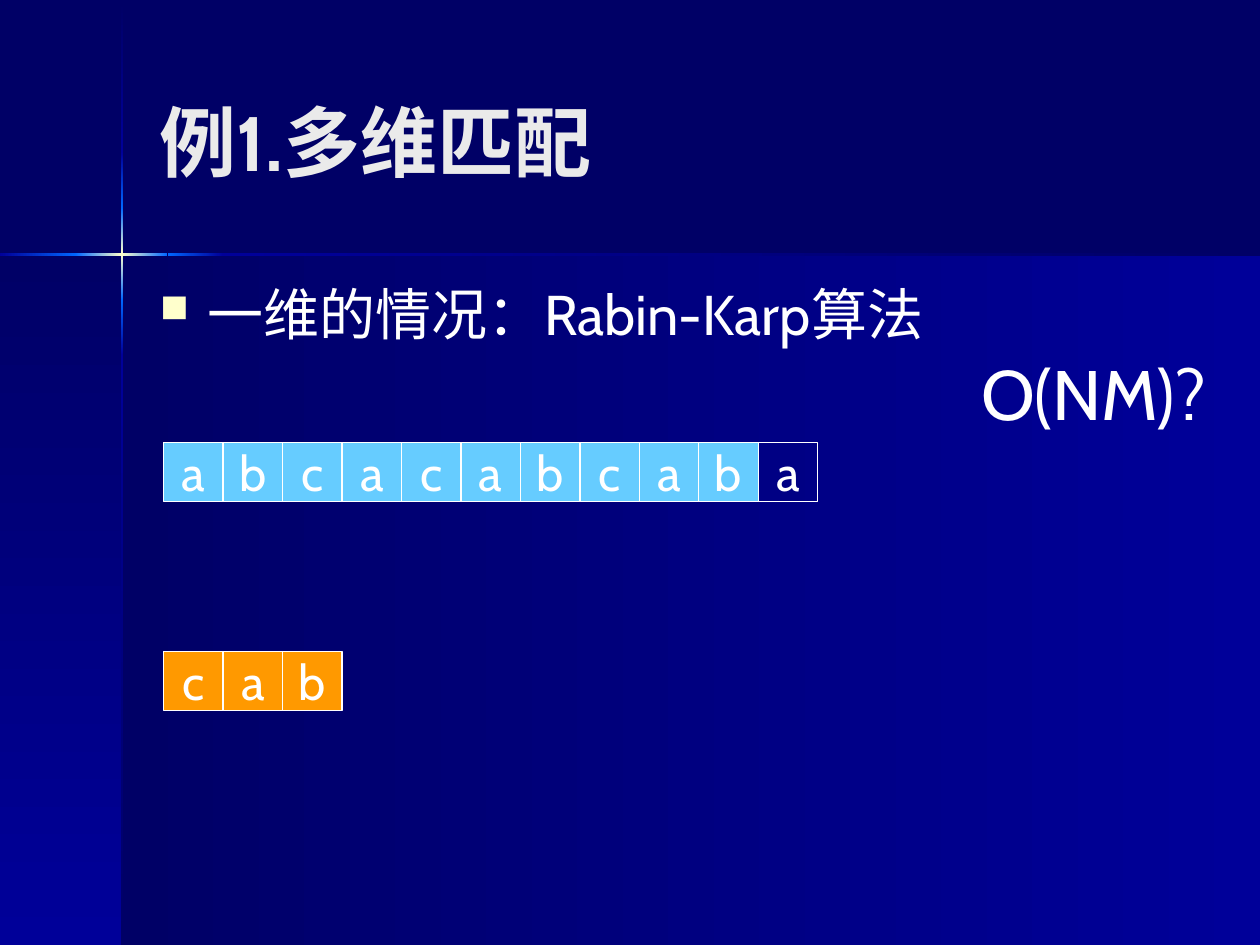
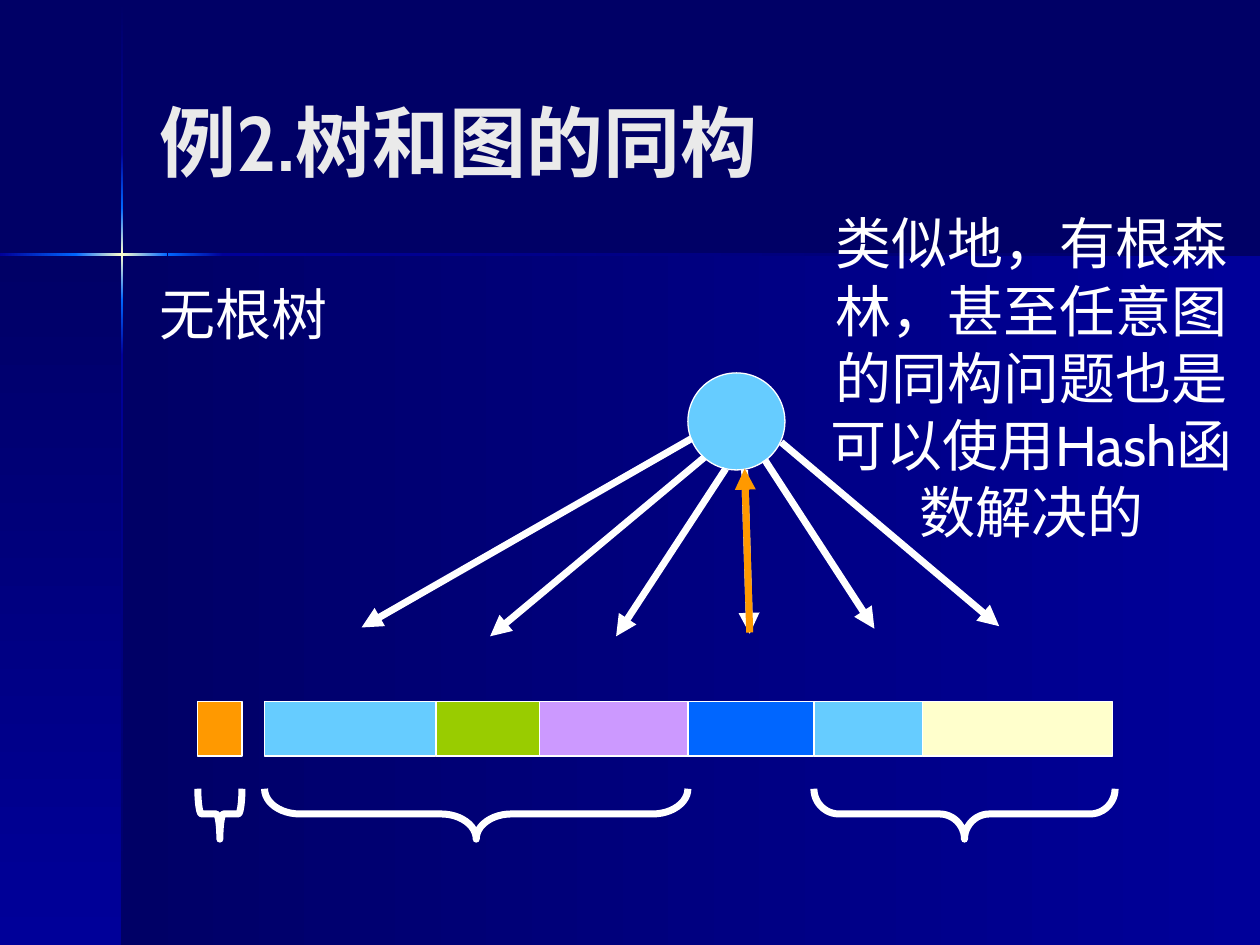
from lxml.etree import SubElement
from pptx import Presentation
from pptx.dml.color import RGBColor
from pptx.enum.lang import MSO_LANGUAGE_ID
from pptx.enum.shapes import MSO_CONNECTOR, MSO_SHAPE
from pptx.enum.text import MSO_ANCHOR, PP_ALIGN
from pptx.oxml import parse_xml
from pptx.oxml.ns import nsdecls, qn
from pptx.util import Inches, Pt

COLORS = {
    "night": "000066", "navy": "000099", "blue": "0066FF", "cream": "FFFFCC",
    "white": "FFFFFF", "title": "EAEAEA", "sky": "66CCFF", "orange": "FF9900",
    "green": "99CC00", "violet": "CC99FF",
}

# Glow bands: left, top, width, height, gradient colours, angle
GLOW = ("blue", "cream", "blue")
BANDS = [
    (0.97, 2.02, 9.03, 5.48, ("navy", "night"), 180),
    (0, 2.02, 0.97, 5.48, ("night", "navy"), 90),
    (0.96, 0.01, 0.02, 1.2, ("night", "navy"), 90),
    (0.96, 2.82, 0.02, 4.68, ("navy", "night"), 90),
    (1.77, 2.01, 8.23, 0.02, ("night", "navy"), 180),
    (0.96, 2.38, 0.02, 0.44, ("blue", "navy"), 90),
    (0.96, 1.21, 0.02, 0.44, ("navy", "blue"), 90),
    (0.96, 1.65, 0.02, 0.73, GLOW, 90),
    (0, 2.01, 0.61, 0.02, ("blue", "navy"), 180),
    (1.33, 2.01, 0.44, 0.02, ("navy", "blue"), 180),
    (0.6, 2.01, 0.73, 0.02, GLOW, 180),
]


def rgb(name):
    return RGBColor.from_string(COLORS[name])


class Deck:
    def __init__(self):
        self.prs = Presentation()
        self.prs.slide_width = Inches(10)
        self.prs.slide_height = Inches(7.5)
        self.font = {"name": "Cabin", "bold": False,
                     "language_id": MSO_LANGUAGE_ID.SIMPLIFIED_CHINESE}
        self.slide = None

    def start(self, title):
        """Add a slide with the shared background, bands and title."""
        self.slide = self.prs.slides.add_slide(self.prs.slide_layouts[6])
        fill = self.slide.background.fill
        fill.solid()
        fill.fore_color.rgb = rgb("night")
        for *place, tones, angle in BANDS:
            self.band(place, tones, angle)
        self.text(title, (1.17, 0.33, 8.25, 1.57), 44, "title",
                  anchor=MSO_ANCHOR.MIDDLE, bold=True)

    def shape(self, place, fill=None, line="white", kind=MSO_SHAPE.RECTANGLE,
              width=0.75):
        item = self.slide.shapes.add_shape(kind, *map(Inches, place))
        item.shadow.inherit = False
        if fill:
            item.fill.solid()
            item.fill.fore_color.rgb = rgb(fill)
        else:
            item.fill.background()
        if line:
            item.line.color.rgb = rgb(line)
            item.line.width = Pt(width)
        else:
            item.line.fill.background()
        return item

    def band(self, place, tones, angle):
        item = self.shape(place, line=None)
        last = len(tones) - 1
        stops = "".join(
            f'<a:gs pos="{100000 * i // last}"><a:srgbClr val="{COLORS[tone]}"/></a:gs>'
            for i, tone in enumerate(tones))
        props = item._element.spPr
        props.replace(props.find(qn("a:noFill")), parse_xml(
            f'<a:gradFill {nsdecls("a")}><a:gsLst>{stops}</a:gsLst>'
            f'<a:lin ang="{angle * 60000}" scaled="0"/></a:gradFill>'))

    def label(self, frame, words, size, color="white", align=PP_ALIGN.LEFT,
              before=0, bold=False):
        para = frame.paragraphs[0]
        para.alignment = align
        para.space_before = Pt(before)
        run = para.add_run()
        run.text = words
        style = {**self.font, "size": Pt(size), "bold": bold}
        for key, value in style.items():
            setattr(run.font, key, value)
        run.font.color.rgb = rgb(color)
        return para

    def text(self, words, place, size, color="white", anchor=MSO_ANCHOR.TOP,
             **style):
        frame = self.slide.shapes.add_textbox(*map(Inches, place)).text_frame
        frame.word_wrap = True
        frame.vertical_anchor = anchor
        return self.label(frame, words, size, color, **style)

    def bullet(self, para):
        props = para._p.get_or_add_pPr()
        props.set("marL", str(Inches(0.38)))
        props.set("indent", str(-Inches(0.38)))
        tint = SubElement(props, qn("a:buClr"))
        SubElement(tint, qn("a:srgbClr"), val=COLORS["cream"])
        SubElement(props, qn("a:buSzPct"), val="70000")
        SubElement(props, qn("a:buChar"), char="■")

    def cell(self, word, place):
        frame = self.shape(place).text_frame
        form = {"margin_left": 0, "margin_top": 0, "margin_right": 0,
                "margin_bottom": 0, "word_wrap": False,
                "vertical_anchor": MSO_ANCHOR.MIDDLE}
        for key, value in form.items():
            setattr(frame, key, value)
        self.label(frame, word, 28, align=PP_ALIGN.CENTER)

    def arrow(self, start, end, color="white", head="tailEnd"):
        item = self.slide.shapes.add_connector(
            MSO_CONNECTOR.STRAIGHT, *map(Inches, (*start, *end)))
        item.line.color.rgb = rgb(color)
        item.line.width = Pt(4)
        SubElement(item.line._get_or_add_ln(), qn(f"a:{head}"), type="triangle")
        SubElement(item._element.spPr, qn("a:effectLst"))

    def brace(self, left, right, top=6.26, depth=0.4):
        """Draw a brace that opens upward between left and right."""
        span = right - left
        place = ((left + right - depth) / 2, top + (depth - span) / 2, depth, span)
        item = self.shape(place, kind=MSO_SHAPE.LEFT_BRACE, width=4)
        item.rotation = 270
        item.adjustments[0] = span / 12 / min(span, depth)


def match(deck):
    deck.start("例1.多维匹配")
    left, top = 1.3, 3.51
    word, key = "abcacabcaba", "cab"
    side = (6.49 - left) / len(word)

    # Search windows, one for each start but the last
    for i in range(len(word) - len(key)):
        deck.shape((left + i * side, top, len(key) * side, side), "sky", None)
    deck.shape((left, 5.17, len(key) * side, side), "orange", None)

    deck.bullet(deck.text("一维的情况：Rabin-Karp算法", (1.17, 2.17, 8.25, 0.64),
                          32, before=8))

    # Letters of the text and of the pattern
    for letters, y in ((word, top), (key, 5.17)):
        for i, letter in enumerate(letters):
            deck.cell(letter, (left + i * side, y, side, side))

    deck.text("O(NM)?", (7.36, 2.73, 2.64, 0.77), 40,
              align=PP_ALIGN.CENTER, before=25)


def tree(deck):
    deck.start("例2.树和图的同构")
    deck.text("无根树", (1.17, 2.17, 8.25, 0.8), 32, before=8)

    # Root and the arrows to its children
    deck.shape((5.46, 2.96, 0.77, 0.77), "sky", kind=MSO_SHAPE.OVAL)
    for start, end in (
        ((5.49, 3.48), (2.87, 4.98)), ((5.59, 3.63), (3.89, 5.05)),
        ((5.76, 3.72), (4.89, 5.05)), ((5.91, 3.73), (5.95, 5.03)),
        ((6.07, 3.65), (6.94, 4.99)), ((6.2, 3.51), (7.93, 4.97)),
    ):
        deck.arrow(start, end)

    # Hash values in a row
    deck.shape((1.57, 5.57, 0.35, 0.43), "orange")
    edges = (2.1, 3.46, 4.28, 5.46, 6.46, 7.32, 8.83)
    fills = ("sky", "green", "violet", "blue", "sky", "cream")
    for left, right, fill in zip(edges, edges[1:], fills):
        deck.shape((left, 5.57, right - left, 0.43), fill)
    for left, right in ((2.1, 5.46), (6.46, 8.85), (1.57, 1.92)):
        deck.brace(left, right)

    # Way back to the root
    deck.arrow((5.91, 3.72), (5.95, 5.02), "orange", "headEnd")
    deck.text("类似地，有根森林，甚至任意图的同构问题也是可以使用Hash函数解决的",
              (6.46, 1.61, 3.46, 2.77), 32, align=PP_ALIGN.CENTER, before=20)


def main():
    deck = Deck()
    match(deck)
    tree(deck)
    deck.prs.save("out.pptx")


if __name__ == "__main__":
    main()
